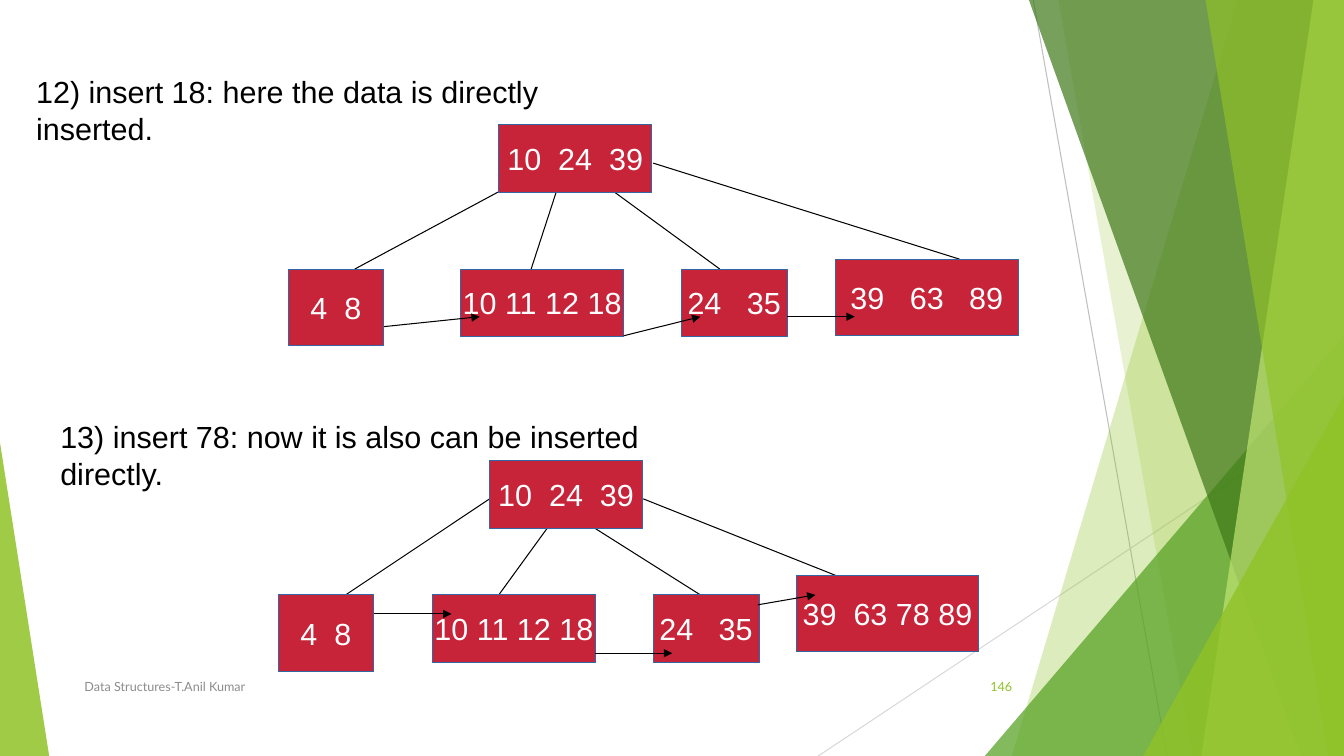
from dataclasses import dataclass

from pptx import Presentation
from pptx.dml.color import RGBColor as RGB
from pptx.enum.shapes import MSO_CONNECTOR as CONN, MSO_SHAPE as SHAPE
from pptx.enum.text import MSO_ANCHOR as ANCHOR, PP_ALIGN as ALIGN
from pptx.oxml.ns import qn
from pptx.util import Cm, Pt
from lxml.etree import SubElement

# ---- Content (lengths in cm) ----
WIDTH, HEIGHT = 33.87, 19.05
ROOT_SIZE = (3.86, 1.70)
LEAF_SIZES = [(2.41, 1.93), (4.11, 1.70), (2.67, 1.70), (4.60, 1.93)]

TREES = [
    {
        "caption": ("12) insert 18: here the data is directly inserted.", 0.61, 1.70, 16.38),
        "root": ("10  24  39", 12.57, 3.15),
        "leaves": [("4  8", 7.26, 6.78), ("10 11 12 18", 11.61, 6.78),
                   ("24   35", 17.17, 6.78), ("39   63   89", 21.06, 6.53)],
        "edges": [(12.57, 4.83, 8.94, 6.78), (14.02, 4.83, 13.31, 7.01),
                  (15.47, 4.83, 18.14, 6.78), (16.46, 4.11, 24.18, 6.53)],
        "links": [(9.68, 8.23, 12.09, 7.98), (15.72, 8.46, 17.65, 7.98),
                  (19.84, 7.98, 21.54, 7.98)],
    },
    {
        "caption": ("13) insert 78: now it is also can be inserted directly.", 1.22, 10.39, 17.93),
        "root": ("10  24  39", 12.34, 11.61),
        "leaves": [("4  8", 7.01, 14.99), ("10 11 12 18", 10.90, 14.99),
                   ("24   35", 16.46, 14.99), ("39  63 78 89", 20.07, 14.50)],
        "edges": [(12.34, 12.57, 8.71, 14.99), (13.79, 13.31, 12.57, 14.99),
                  (14.99, 13.31, 17.65, 14.99), (16.21, 12.57, 21.06, 14.50)],
        "links": [(9.42, 15.47, 11.38, 15.47), (14.99, 16.46, 16.94, 16.46),
                  (19.10, 15.24, 20.55, 14.99)],
    },
]
FOOTER, PAGE = "Data Structures-T.Anil Kumar", "146"


@dataclass(frozen=True)
class Theme:
    font: str = "Arial"
    footer_font: str = "Lato"
    body: float = 21.8
    small: float = 9
    line: float = 0.75
    ink: str = "000000"
    paper: str = "FFFFFF"
    node: str = "C7243A"
    border: str = "3465A4"
    lime: str = "90C226"
    green: str = "54A021"
    forest: str = "3F7819"
    pale: str = "C0E474"
    muted: str = "8C8C8C"
    ray_dark: str = "BFBFBF"
    ray_light: str = "D9D9D9"


T = Theme()

# Background: rays, bands (top x, bottom x, colour, opacity %) and corner triangles
RAYS = [((26.04, 0, 29.41, HEIGHT), T.ray_dark), ((WIDTH, 10.24, 20.62, HEIGHT), T.ray_light)]
BACKDROP = [
    ("band", (31.19, 25.50), T.lime, 30),
    ("band", (26.67, 30.05), T.lime, 20),
    ("right", (24.82, 8.46), T.green, 72),
    ("band", (25.93, 32.79), T.forest, 70),
    ("band", (33.10, 30.28), T.pale, 70),
    ("band", (30.38, 33.48), T.lime, 65),
    ("right", (28.81, 9.98), T.lime, 80),
    ("left", (1.24, 11.15), T.lime, 85),
]

prs = Presentation()
prs.slide_width, prs.slide_height = Cm(WIDTH), Cm(HEIGHT)
shapes = prs.slides.add_slide(prs.slide_layouts[6]).shapes


# ---- Helpers ----
def paint(sp, color, opacity=100):
    sp.shadow.inherit = False
    sp.fill.solid()
    sp.fill.fore_color.rgb = RGB.from_string(color)
    if opacity < 100:
        clr = sp.fill._xPr.find(qn("a:solidFill"))[0]
        SubElement(clr, qn("a:alpha")).set("val", str(opacity * 1000))


def add_line(ends, color, arrow=False):
    ln = shapes.add_connector(CONN.STRAIGHT, *map(Cm, ends))
    ln.line.color.rgb = RGB.from_string(color)
    ln.line.width = Pt(T.line)
    if arrow:
        SubElement(ln.line._get_or_add_ln(), qn("a:tailEnd")).set("type", "triangle")
    SubElement(ln._element.spPr, qn("a:effectLst"))


def write(sp, text, size, color, font=T.font, align=ALIGN.LEFT, anchor=ANCHOR.MIDDLE,
          wrap=True, inset=(0.30, 0.15)):
    tf = sp.text_frame
    tf.word_wrap, tf.vertical_anchor = wrap, anchor
    tf.margin_left = tf.margin_right = Cm(inset[0])
    tf.margin_top = tf.margin_bottom = Cm(inset[1])
    p = tf.paragraphs[0]
    p.text, p.alignment = text, align
    p.font.name, p.font.size = font, Pt(size)
    p.font.color.rgb = RGB.from_string(color)


def add_text(text, x, y, w, h, size, color, **style):
    write(shapes.add_textbox(Cm(x), Cm(y), Cm(w), Cm(h)), text, size, color, **style)


def add_node(text, x, y, size):
    sp = shapes.add_shape(SHAPE.RECTANGLE, Cm(x), Cm(y), *map(Cm, size))
    paint(sp, T.node)
    sp.line.color.rgb = RGB.from_string(T.border)
    sp.line.width = Pt(T.line)
    write(sp, text, T.body, T.paper, align=ALIGN.CENTER, wrap=False)


def add_band(top, bottom):
    fb = shapes.build_freeform(Cm(top), 0)
    corners = [(WIDTH, 0), (WIDTH, HEIGHT), (bottom, HEIGHT)]
    fb.add_line_segments([(Cm(x), Cm(y)) for x, y in corners])
    return fb.convert_to_shape()


def add_triangle(side, x, y):
    left, w = (x, WIDTH - x) if side == "right" else (0, x)
    sp = shapes.add_shape(SHAPE.ISOSCELES_TRIANGLE, Cm(left), Cm(y), Cm(w), Cm(HEIGHT - y))
    sp.adjustments[0] = 1 if side == "right" else 0
    return sp


# ---- Background ----
for ends, color in RAYS:
    add_line(ends, color)
for kind, place, color, opacity in BACKDROP:
    sp = add_band(*place) if kind == "band" else add_triangle(kind, *place)
    paint(sp, color, opacity)
    sp.line.fill.background()

# ---- Trees ----
for tree in TREES:
    text, x, y, w = tree["caption"]
    add_text(text, x, y, w, 1.17, T.body, T.ink, anchor=ANCHOR.TOP)
    for ends in tree["edges"]:
        add_line(ends, T.ink)
    add_node(*tree["root"], ROOT_SIZE)
    for leaf, size in zip(tree["leaves"], LEAF_SIZES):
        add_node(*leaf, size)
    for ends in tree["links"]:
        add_line(ends, T.ink, arrow=True)

# ---- Footer ----
footer = {"font": T.footer_font, "inset": (0.25, 0.13)}
add_text(PAGE, 23.85, 16.79, 1.91, 1.02, T.small, T.lime, align=ALIGN.RIGHT, **footer)
add_text(FOOTER, 1.88, 16.79, 17.50, 1.02, T.small, T.muted, **footer)

prs.save("out.pptx")
